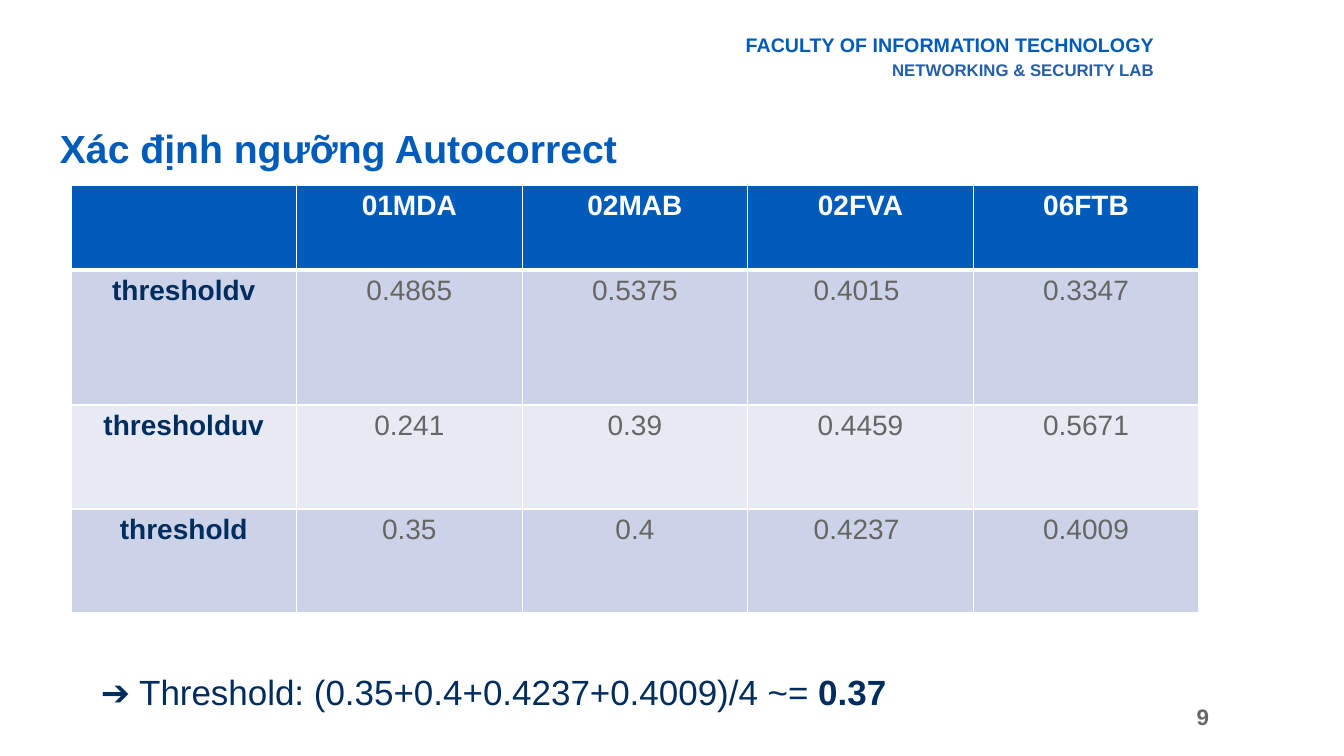
from dataclasses import dataclass

from lxml import etree
from pptx import Presentation
from pptx.dml.color import RGBColor
from pptx.enum.text import MSO_ANCHOR, PP_ALIGN
from pptx.oxml.ns import qn
from pptx.util import Emu, Pt

LEFT, CENTER, RIGHT = PP_ALIGN.LEFT, PP_ALIGN.CENTER, PP_ALIGN.RIGHT
TOP, MIDDLE = MSO_ANCHOR.TOP, MSO_ANCHOR.MIDDLE
PX_PER_INCH = 100.8


@dataclass(frozen=True)
class Theme:
    font: str = "Arial"
    blue: str = "005BBB"
    lab_blue: str = "245EAB"
    navy: str = "002D5E"
    gray: str = "666666"
    white: str = "FFFFFF"
    band_dark: str = "CCD2E7"
    band_light: str = "E7EAF3"
    title_size: int = 28
    conclusion_size: int = 25
    table_size: int = 20
    number_size: int = 16
    faculty_size: int = 14
    lab_size: int = 12


THEME = Theme()

THRESHOLDS = [
    ["", "01MDA", "02MAB", "02FVA", "06FTB"],
    ["thresholdv", "0.4865", "0.5375", "0.4015 ", "0.3347"],
    ["thresholduv", "0.241", "0.39", "0.4459", "0.5671"],
    ["threshold", "0.35", "0.4", "0.4237 ", "0.4009"],
]
ROW_HEIGHTS = [85, 135, 104, 104]


def px(length):
    return Emu(round(length * 914400 / PX_PER_INCH))


def add_run(paragraph, text, size, color, bold=False):
    run = paragraph.add_run()
    run.text = text
    run.font.name = THEME.font
    run.font.size = Pt(size)
    run.font.bold = bold
    run.font.color.rgb = RGBColor.from_string(color)


def add_text(slide, box, lines, align=LEFT, anchor=TOP, space_before=0):
    frame = slide.shapes.add_textbox(*map(px, box)).text_frame
    frame.word_wrap = True
    frame.vertical_anchor = anchor
    for index, runs in enumerate(lines):
        paragraph = frame.add_paragraph() if index else frame.paragraphs[0]
        paragraph.alignment = align
        if index:
            paragraph.space_before = Pt(space_before)
        for run in runs:
            add_run(paragraph, *run)


def set_borders(cell, widths):
    properties = cell._tc.get_or_add_tcPr()
    for side, width in widths.items():
        line = etree.SubElement(properties, qn(f"a:ln{side}"), w=str(Pt(width)))
        fill = etree.SubElement(line, qn("a:solidFill"))
        etree.SubElement(fill, qn("a:srgbClr"), val=THEME.white)


def cell_style(row, column):
    if row == 0:
        return THEME.blue, THEME.white, True
    band = THEME.band_dark if row % 2 else THEME.band_light
    if column == 0:
        return band, THEME.navy, True
    return band, THEME.gray, False


def add_threshold_table(slide, left, top, width):
    column_count = len(THRESHOLDS[0])
    table = slide.shapes.add_table(
        len(THRESHOLDS), column_count,
        px(left), px(top), px(width), px(sum(ROW_HEIGHTS)),
    ).table
    for column in table.columns:
        column.width = px(width / column_count)
    for row, values in enumerate(THRESHOLDS):
        table.rows[row].height = px(ROW_HEIGHTS[row])
        for column, value in enumerate(values):
            cell = table.cell(row, column)
            fill, color, bold = cell_style(row, column)
            set_borders(cell, {
                "L": 1, "R": 1,
                "T": 3 if row == 1 else 1,
                "B": 3 if row == 0 else 1,
            })
            cell.fill.solid()
            cell.fill.fore_color.rgb = RGBColor.from_string(fill)
            if value:
                paragraph = cell.text_frame.paragraphs[0]
                paragraph.alignment = CENTER
                add_run(paragraph, value, THEME.table_size, color, bold)


def main():
    deck = Presentation()
    deck.slide_width, deck.slide_height = px(1344), px(756)
    slide = deck.slides.add_slide(deck.slide_layouts[6])

    add_text(slide, (765, 697, 454, 40),
             [[("9", THEME.number_size, THEME.gray, True)]], RIGHT, MIDDLE)
    add_text(slide, (709, 28, 455, 57), [
        [("FACULTY OF INFORMATION TECHNOLOGY", THEME.faculty_size, THEME.blue, True)],
        [("NETWORKING & SECURITY LAB", THEME.lab_size, THEME.lab_blue, True)],
    ], RIGHT, space_before=2)
    add_text(slide, (50, 119, 766, 66),
             [[("Xác định ngưỡng Autocorrect", THEME.title_size, THEME.blue, True)]])
    add_threshold_table(slide, 71, 185, 1128)
    add_text(slide, (91, 666, 916, 52), [[
        ("➔ Threshold: (0.35+0.4+0.4237+0.4009)/4 ~= ", THEME.conclusion_size, THEME.navy),
        ("0.37", THEME.conclusion_size, THEME.navy, True),
    ]])

    deck.save("out.pptx")


if __name__ == "__main__":
    main()
